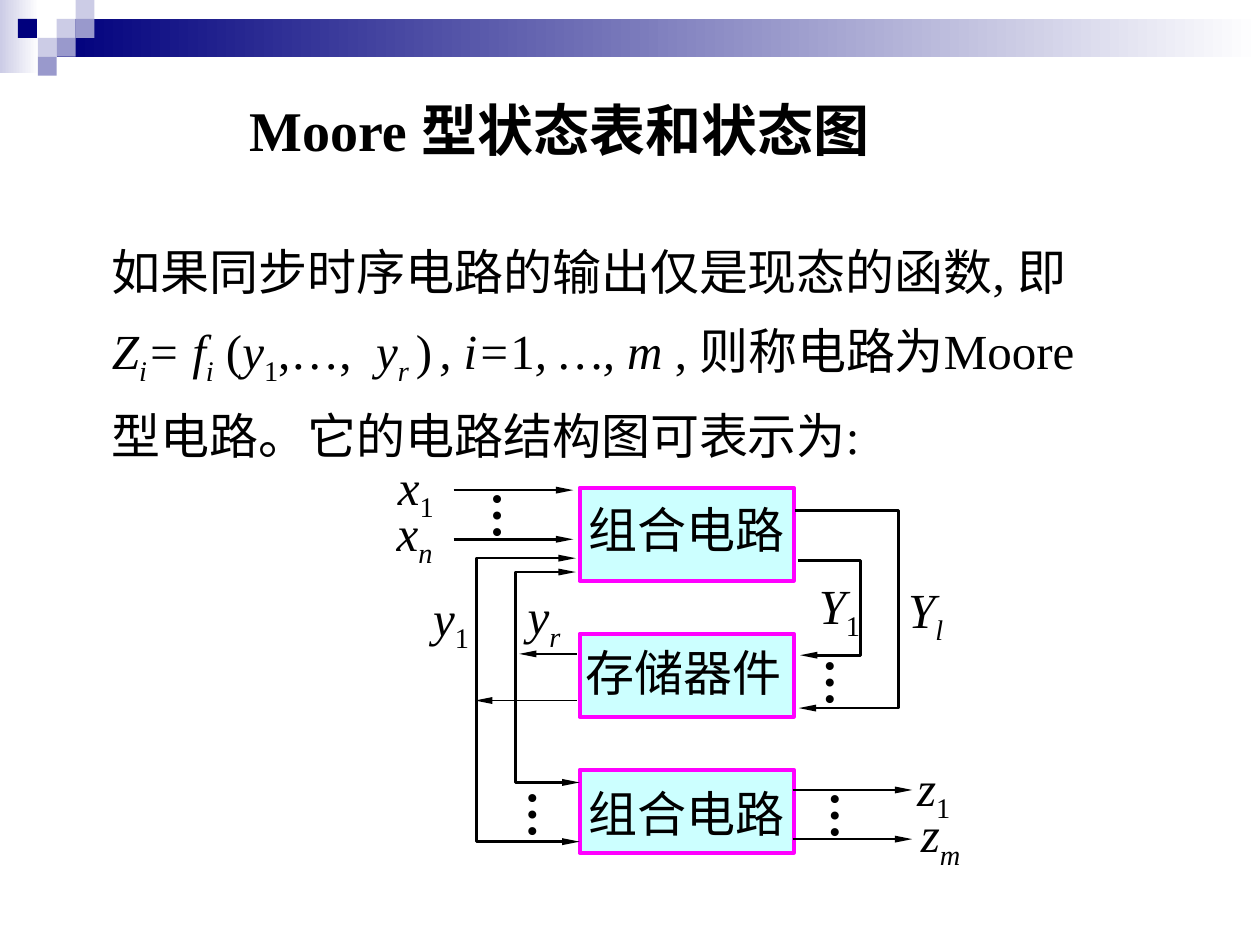
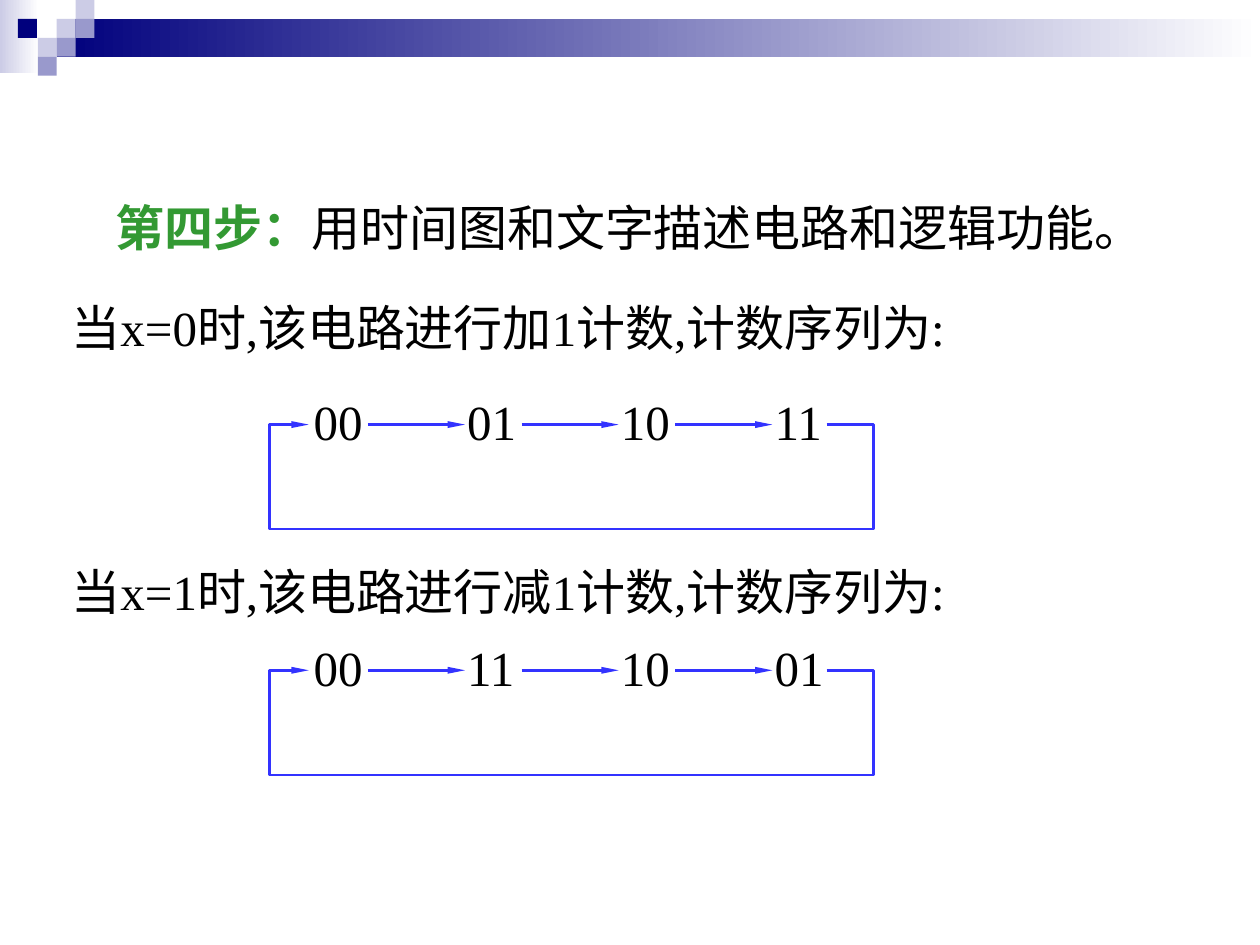
from lxml.etree import SubElement
from pptx import Presentation
from pptx.dml.color import RGBColor
from pptx.enum.shapes import MSO_CONNECTOR, MSO_SHAPE
from pptx.enum.text import MSO_ANCHOR, MSO_AUTO_SIZE, PP_ALIGN
from pptx.oxml.ns import qn
from pptx.util import Inches, Pt

FONT = "Times New Roman"
BODY_SIZE = 28
BLACK = RGBColor(0x00, 0x00, 0x00)
WHITE = RGBColor(0xFF, 0xFF, 0xFF)
NAVY = RGBColor(0x00, 0x00, 0x7D)
LAVENDER = RGBColor(0xCC, 0xCC, 0xE6)
PERIWINKLE = RGBColor(0x99, 0x99, 0xCC)
CYAN = RGBColor(0xCC, 0xFF, 0xFF)
MAGENTA = RGBColor(0xFF, 0x00, 0xFF)
GREEN = RGBColor(0x33, 0x99, 0x33)
BLUE = RGBColor(0x33, 0x33, 0xFF)


# Shared helpers
def fill_text(tf, runs, size=BODY_SIZE, spacing=None):
    """Write (text, style) runs; style letters: b bold, i italic, s subscript, g green."""
    p = tf.paragraphs[0]
    p.alignment = PP_ALIGN.LEFT
    p.line_spacing = spacing
    p.font.name, p.font.size = FONT, Pt(size)
    for text, style in runs:
        r = p.add_run()
        r.text = text
        r.font.bold, r.font.italic = "b" in style, "i" in style
        r.font.color.rgb = GREEN if "g" in style else BLACK
        if "s" in style:
            r.font._element.set("baseline", "-25000")


def add_text(s, x, y, w, h, runs, wrap=False, **text_format):
    tf = s.shapes.add_textbox(Inches(x), Inches(y), Inches(w), Inches(h)).text_frame
    tf.word_wrap = wrap
    tf.auto_size = MSO_AUTO_SIZE.SHAPE_TO_FIT_TEXT
    fill_text(tf, runs, **text_format)
    return tf


def add_rect(s, x, y, w, h):
    sp = s.shapes.add_shape(MSO_SHAPE.RECTANGLE, Inches(x), Inches(y), Inches(w), Inches(h))
    sp.shadow.inherit = False
    sp.line.fill.background()
    return sp


def style_line(sp, color, width, ends):
    sp.line.color.rgb = color
    sp.line.width = Pt(width)
    ln = sp.element.spPr.find(qn("a:ln"))
    for end in ends:
        SubElement(ln, qn(f"a:{end}"), type="triangle", w="sm", len="lg")
    SubElement(sp.element.spPr, qn("a:effectLst"))


def add_arrow(s, x1, y1, x2, y2, color=BLACK, width=1.5):
    sp = s.shapes.add_connector(MSO_CONNECTOR.STRAIGHT,
                                Inches(x1), Inches(y1), Inches(x2), Inches(y2))
    style_line(sp, color, width, ["tailEnd"])


def add_path(s, points, color=BLACK, ends=("tailEnd",)):
    start, *rest = [(Inches(x), Inches(y)) for x, y in points]
    builder = s.shapes.build_freeform(*start)
    builder.add_line_segments(rest, close=False)
    sp = builder.convert_to_shape()
    sp.fill.background()
    style_line(sp, color, 1.5, ends)


def add_banner(s):
    # Fading bands
    for x, y, w, h, color in [(0, 0, 0.31, 0.58, LAVENDER), (0.45, 0.15, 9.55, 0.3, NAVY)]:
        fill = add_rect(s, x, y, w, h).fill
        fill.gradient()
        fill.gradient_angle = 180
        for stop, stop_color in zip(fill.gradient_stops, (WHITE, color)):
            stop.color.rgb = stop_color
    # Mosaic of small squares
    side = 0.15
    for col, row, color in [(3, 1, LAVENDER), (4, 0, LAVENDER), (4, 1, PERIWINKLE),
                            (2, 2, LAVENDER), (0.95, 1, NAVY), (3, 2, PERIWINKLE),
                            (2, 3, PERIWINKLE)]:
        fill = add_rect(s, col * side, row * side, side, side).fill
        fill.solid()
        fill.fore_color.rgb = color


def new_slide(prs):
    s = prs.slides.add_slide(prs.slide_layouts[6])
    add_banner(s)
    return s


# Moore circuit diagram
def add_block(s, x, y, h, name, left_inset, top_inset):
    sp = add_rect(s, x, y, 1.7, h)
    sp.fill.solid()
    sp.fill.fore_color.rgb = CYAN
    sp.line.color.rgb = MAGENTA
    sp.line.width = Pt(2.25)
    tf = sp.text_frame
    tf.word_wrap = True
    tf.vertical_anchor = MSO_ANCHOR.MIDDLE
    tf.margin_left, tf.margin_right = Inches(left_inset), 0
    tf.margin_top = Inches(top_inset)
    fill_text(tf, [(name, "")], spacing=0.9)


def add_vertical_dots(s, x, y):
    tf = add_text(s, x, y, 0.66, 0.49, [("…", "b")])
    tf.margin_left = tf.margin_right = Inches(0.05)
    tf.margin_top = tf.margin_bottom = Inches(0.1)
    tf._txBody.bodyPr.set("vert", "eaVert")


def add_moore_circuit(s, x, y):
    for top, h, name, left_inset, top_inset in [(0.37, 0.74, "组合电路", 0.07, 0.03),
                                                (1.53, 0.66, "存储器件", 0.05, 0.05),
                                                (2.61, 0.66, "组合电路", 0.07, 0.13)]:
        add_block(s, x + 1.6, y + top, h, name, left_inset, top_inset)

    # Inputs, state outputs and circuit outputs
    for x1, x2, top, width in [(0.6, 1.55, 0.39, 1.5), (0.6, 1.55, 0.78, 1.5),
                               (1.58, 1.12, 1.69, 1), (1.58, 0.77, 2.06, 1),
                               (3.29, 4.24, 2.77, 1.5), (3.29, 4.24, 3.16, 1.5)]:
        add_arrow(s, x + x1, y + top, x + x2, y + top, width=width)

    # Present state to both combinational blocks, next state to storage
    both = ("headEnd", "tailEnd")
    for x1, top, turn, bottom, x2, ends in [(1.6, 2.71, 1.09, 1.04, 1.57, both),
                                            (1.6, 3.18, 0.78, 0.93, 1.57, both),
                                            (3.33, 0.95, 3.83, 1.7, 3.35, ("tailEnd",)),
                                            (3.31, 0.55, 4.13, 2.12, 3.34, ("tailEnd",))]:
        add_path(s, [(x + x1, y + top), (x + turn, y + top),
                     (x + turn, y + bottom), (x + x2, y + bottom)], ends=ends)

    for left, top in [(0.7, 0.3), (0.98, 2.67), (3.34, 1.63), (3.38, 2.68)]:
        add_vertical_dots(s, x + left, y + top)

    # Signal names, in boxes wide enough to keep each index beside its letter
    for left, top, letter, index in [(0.06, 0.07, "x", "1"), (0.05, 0.44, "x", "n"),
                                     (1.09, 1.1, "y", "r"), (0.34, 1.11, "y", "1"),
                                     (3.4, 1.02, "Y", "1"), (4.11, 1.05, "Y", "l"),
                                     (4.18, 2.46, "z", "1"), (4.21, 2.83, "z", "m")]:
        add_text(s, x + left, y + top, 0.7, 0.63,
                 [(letter, "i"), (index, "s" if index.isdigit() else "is")], wrap=True)


def build_moore_slide(prs):
    s = new_slide(prs)
    add_text(s, 1.88, 0.71, 5.24, 0.64, [("Moore 型状态表和状态图", "b")], size=32)
    definition = [("如果同步时序电路的输出仅是现态的函数, 即", ""),
                  ("Z", "i"), ("i", "is"), ("= f", "i"), ("i", "is"), (" (", ""),
                  ("y", "i"), ("1", "s"), (",…,  ", ""), ("y", "i"), ("r ", "is"),
                  (")", ""), (" ", "s"), (", i=", "i"), ("1", ""), (", …, m", "i"),
                  (" , 则称电路为Moore型电路。它的电路结构图可表示为:", "")]
    add_text(s, 0.79, 1.73, 8.2, 2.01, definition, wrap=True, spacing=1.3)
    add_moore_circuit(s, 3, 3.5)


# Counting sequences
def add_count_loop(s, x, y, states):
    pitch, axis = 1.22, y + 0.31
    for i, state in enumerate(states):
        add_text(s, x + 0.25 + i * pitch, y, 0.59, 0.57, [(state, "")])
    for i in range(len(states) - 1):
        start = x + 0.78 + i * pitch
        add_arrow(s, start, axis, start + 0.77, axis, BLUE)
    # Return path from the last state to the first
    right, bottom = x + 4.79, axis + 0.83
    add_path(s, [(x + 4.42, axis), (right, axis), (right, bottom),
                 (x, bottom), (x, axis), (x + 0.31, axis)], BLUE)


def build_counter_slide(prs):
    s = new_slide(prs)
    add_text(s, 0.82, 1.52, 8.35, 0.57,
             [("第四步：", "bg"), ("用时间图和文字描述电路和逻辑功能。", "")])
    for x_value, action, text_y, loop_y, states in [
            (0, "加", 2.31, 3.06, ["00", "01", "10", "11"]),
            (1, "减", 4.41, 5.01, ["00", "11", "10", "01"])]:
        add_text(s, 0.47, text_y, 7.97, 0.57,
                 [(f"当x={x_value}时,该电路进行{action}1计数,计数序列为:", "")])
        add_count_loop(s, 2.14, loop_y, states)


def main():
    prs = Presentation()
    prs.slide_width, prs.slide_height = Inches(10), Inches(7.5)
    build_moore_slide(prs)
    build_counter_slide(prs)
    prs.save("out.pptx")


if __name__ == "__main__":
    main()
